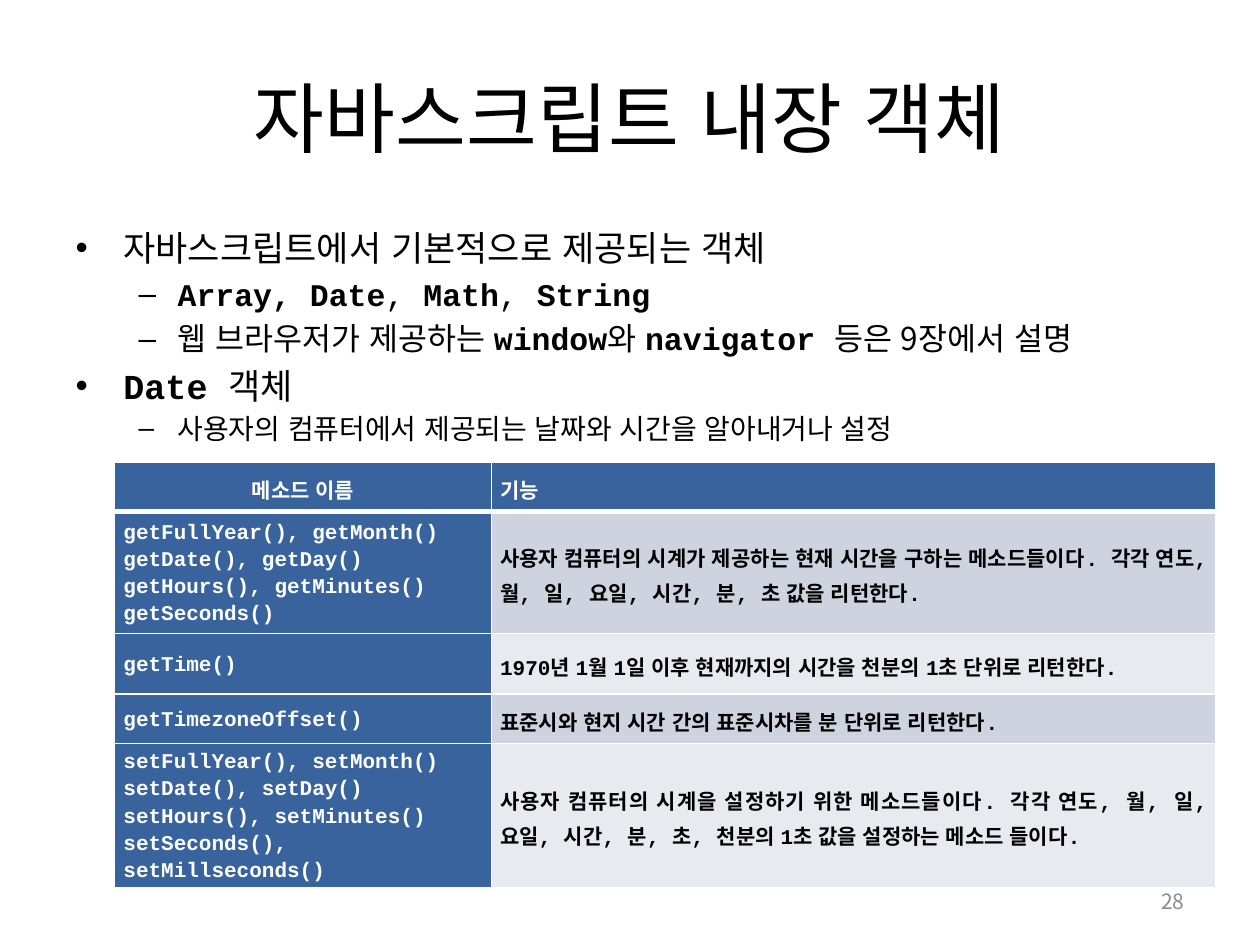
import pptx
import pptx.dml.color
import pptx.enum.lang
import pptx.enum.text
import pptx.oxml
import pptx.oxml.ns
import pptx.util

Inches = pptx.util.Inches
Pt = pptx.util.Pt
ALIGN = pptx.enum.text.PP_ALIGN
ANCHOR = pptx.enum.text.MSO_ANCHOR

SANS = "Noto Sans CJK KR"
MONO = "Courier New"
BLACK, WHITE, GRAY = "000000", "FFFFFF", "8C8C8C"
BLUE, BAND_DARK, BAND_LIGHT = "39639D", "CED3DF", "E8EAEF"

# Bullet character, left margin and hanging indent per level
BULLETS = [("•", 0.38, -0.38), ("–", 0.81, -0.31)]

# Level, size and runs of (text, is code)
BODY = [
    (0, 20, [("자바스크립트에서 기본적으로 제공되는 객체", False)]),
    (1, 18, [("Array, Date", True), (", ", None), ("Math", True),
             (", ", None), ("String", True)]),
    (1, 18, [("웹 브라우저가 제공하는 ", False), ("window", True), ("와 ", False),
             ("navigator ", True), ("등은 9장에서 설명", False)]),
    (0, 20, [("Date ", True), ("객체", False)]),
    (1, 16, [("사용자의 컴퓨터에서 제공되는 날짜와 시간을 알아내거나 설정", False)]),
]

# Method names and what they do
METHODS = [
    (["메소드 이름"], "기능"),
    (["getFullYear(), getMonth()", "getDate(), getDay()",
      "getHours(), getMinutes()", "getSeconds()"],
     "사용자 컴퓨터의 시계가 제공하는 현재 시간을 구하는 메소드들이다. "
     "각각 연도, 월, 일, 요일, 시간, 분, 초 값을 리턴한다."),
    (["getTime()"],
     "1970년 1월 1일 이후 현재까지의 시간을 천분의 1초 단위로 리턴한다."),
    (["getTimezoneOffset()"],
     "표준시와 현지 시간 간의 표준시차를 분 단위로 리턴한다."),
    (["setFullYear(), setMonth()", "setDate(), setDay()",
      "setHours(), setMinutes()", "setSeconds(), setMillseconds()"],
     "사용자 컴퓨터의 시계을 설정하기 위한 메소드들이다. "
     "각각 연도, 월, 일, 요일, 시간, 분, 초, 천분의 1초 값을 설정하는 메소드 들이다."),
]
COL_WIDTHS = [2.99, 5.75]
ROW_HEIGHTS = [0.39, 0.97, 0.48, 0.39, 0.97]


def rgb(color):
    return pptx.dml.color.RGBColor.from_string(color)


def set_attrs(obj, values):
    for name, value in values.items():
        setattr(obj, name, value)


def element(xml):
    return pptx.oxml.parse_xml(
        xml.replace(" ", f' {pptx.oxml.ns.nsdecls("a")} ', 1))


class SlideBuilder:
    """Holds the text style and the current slide."""

    def __init__(self, prs):
        self.s = prs.slides.add_slide(prs.slide_layouts[1])

    def place(self, sp, box):
        names = ("left", "top", "width", "height")
        set_attrs(sp, dict(zip(names, map(Inches, box))))

    def run(self, p, text, size, font=SANS, color=BLACK, bold=False):
        r = p.add_run()
        r.text = text
        set_attrs(r.font, {
            "size": Pt(size), "name": font, "bold": bold,
            "language_id": pptx.enum.lang.MSO_LANGUAGE_ID.KOREAN})
        r.font.color.rgb = rgb(color)
        latin = r.font._element.find(pptx.oxml.ns.qn("a:latin"))
        latin.addnext(element(f'<a:ea typeface="{SANS}"/>'))

    def title(self, text, box):
        sp = self.s.shapes.title
        self.place(sp, box)
        tf = sp.text_frame
        set_attrs(tf, {"vertical_anchor": ANCHOR.MIDDLE,
                       "auto_size": pptx.enum.text.MSO_AUTO_SIZE.NONE})
        p = tf.paragraphs[0]
        p.alignment = ALIGN.CENTER
        self.run(p, text, 44)

    def bullets(self, items, box):
        sp = self.s.placeholders[1]
        self.place(sp, box)
        tf = sp.text_frame
        tf.auto_size = pptx.enum.text.MSO_AUTO_SIZE.NONE
        for i, (level, size, runs) in enumerate(items):
            p = tf.add_paragraph() if i else tf.paragraphs[0]
            p.level = level
            if i == 0:
                p.space_before = Pt(0)
            char, margin, indent = BULLETS[level]
            pPr = p._p.get_or_add_pPr()
            pPr.set("marL", str(Inches(margin)))
            pPr.set("indent", str(Inches(indent)))
            pPr.append(element(f'<a:buChar char="{char}"/>'))
            for text, code in runs:
                # None marks plain text in the code font
                self.run(p, text, size, SANS if code is False else MONO,
                         bold=bool(code))

    def page_number(self, text, box):
        sp = self.s.shapes.add_textbox(*map(Inches, box))
        tf = sp.text_frame
        set_attrs(tf, {"word_wrap": True, "vertical_anchor": ANCHOR.MIDDLE})
        p = tf.paragraphs[0]
        p.alignment = ALIGN.RIGHT
        self.run(p, text, 12, color=GRAY)

    def cell(self, cell, lines, fill, color, align, bottom=1):
        set_attrs(cell, {
            "margin_left": Inches(0.07), "margin_right": Inches(0.07),
            "margin_top": 0, "margin_bottom": 0,
            "vertical_anchor": ANCHOR.MIDDLE})
        tf = cell.text_frame
        for i, line in enumerate(lines):
            p = tf.add_paragraph() if i else tf.paragraphs[0]
            set_attrs(p, {"alignment": align, "line_spacing": 1.15})
            self.run(p, line, 12, MONO, color, True)
        # Borders come before the fill in the cell properties
        tcPr = cell._tc.get_or_add_tcPr()
        for side, width in zip("LRTB", (1, 1, 1, bottom)):
            tcPr.append(element(
                f'<a:ln{side} w="{Pt(width)}"><a:solidFill>'
                f'<a:srgbClr val="{WHITE}"/></a:solidFill></a:ln{side}>'))
        cell.fill.solid()
        cell.fill.fore_color.rgb = rgb(fill)

    def table(self, rows, box):
        tbl = self.s.shapes.add_table(
            len(rows), len(COL_WIDTHS), *map(Inches, box)).table
        for col, width in zip(tbl.columns, COL_WIDTHS):
            col.width = Inches(width)
        for row, height in zip(tbl.rows, ROW_HEIGHTS):
            row.height = Inches(height)
        for i, (names, use) in enumerate(rows):
            head = i == 0
            band = BAND_DARK if i % 2 else BAND_LIGHT
            bottom = 3 if head else 1
            self.cell(tbl.cell(i, 0), names, BLUE, WHITE,
                      ALIGN.CENTER if head else ALIGN.LEFT, bottom)
            self.cell(tbl.cell(i, 1), [use], BLUE if head else band,
                      WHITE if head else BLACK, ALIGN.JUSTIFY, bottom)


def main():
    prs = pptx.Presentation()
    set_attrs(prs, {"slide_width": Inches(10), "slide_height": Inches(7.5)})
    slide = SlideBuilder(prs)
    slide.title("자바스크립트 내장 객체", (0.5, 0.3, 9, 1.25))
    slide.bullets(BODY, (0.5, 1.75, 9, 4.95))
    slide.page_number("28", (7.17, 6.95, 2.33, 0.4))
    slide.table(METHODS, (0.91, 3.67, 8.74, 3.2))
    prs.save("out.pptx")


if __name__ == "__main__":
    main()
